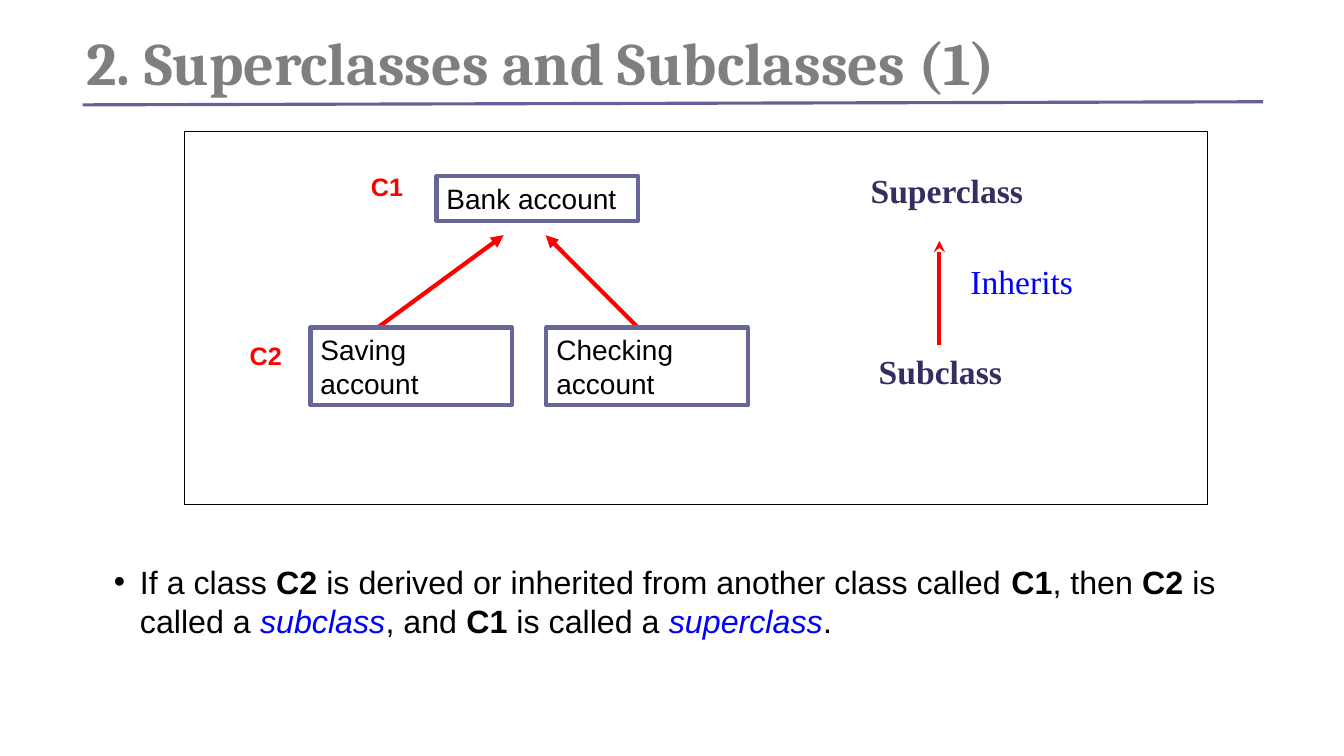
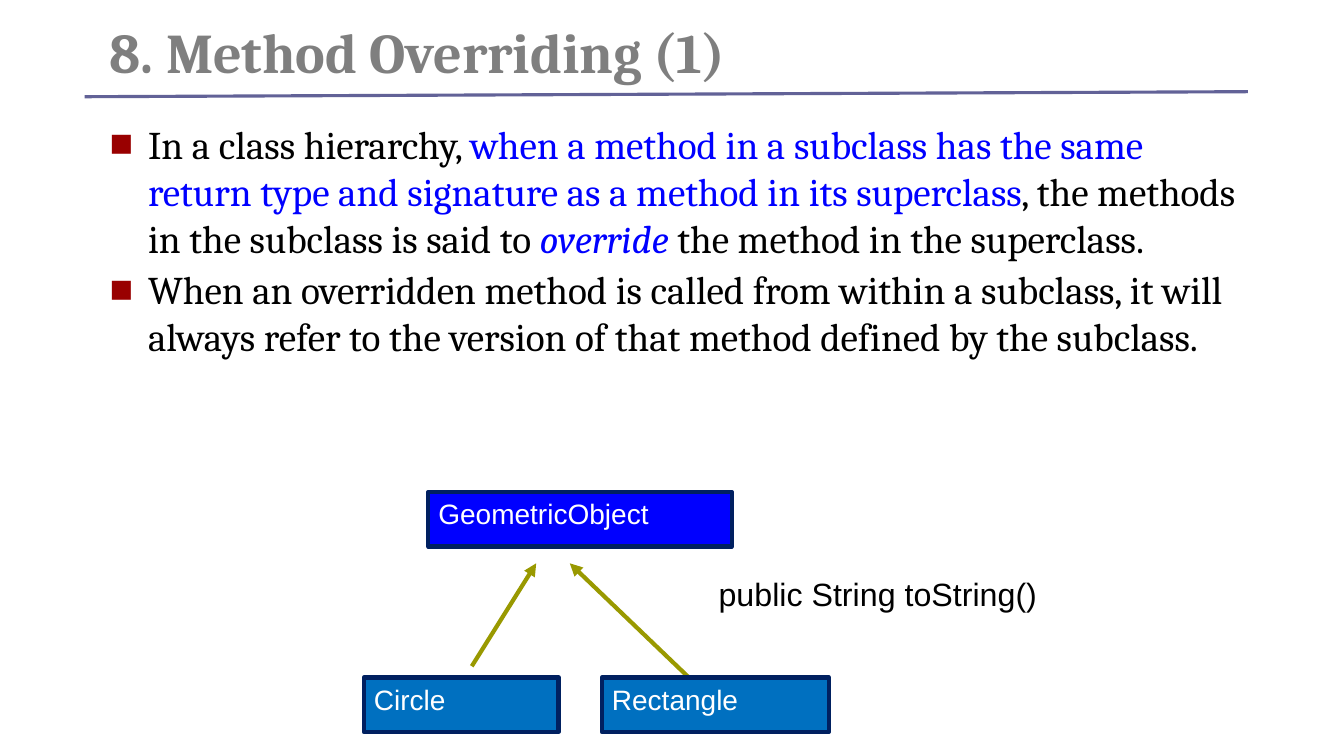
from lxml import etree
from pptx import Presentation
from pptx.dml.color import RGBColor
from pptx.enum.shapes import MSO_CONNECTOR, MSO_SHAPE
from pptx.enum.text import MSO_ANCHOR, PP_ALIGN
from pptx.oxml.ns import qn
from pptx.util import Pt

RECT, STRAIGHT = MSO_SHAPE.RECTANGLE, MSO_CONNECTOR.STRAIGHT
TOP, BOTTOM, LEFT = MSO_ANCHOR.TOP, MSO_ANCHOR.BOTTOM, PP_ALIGN.LEFT

COLORS = {
    "black": "000000", "white": "FFFFFF", "title": "7F7F7F", "rule": "626297",
    "border": "666699", "red": "FF0000", "blue": "0000FF", "indigo": "342F61",
    "maroon": "990000", "navy": "002060", "azure": "0070C0", "olive": "999900",
}
SANS, SERIF, ROMAN = "Arial", "Cambria", "Times New Roman"
BOLD = {"bold": True}
BLUE = {"color": "blue"}
BLUE_ITALIC = {"color": "blue", "italic": True}


def rgb(name):
    return RGBColor.from_string(COLORS[name])


def add_bullet(p, char, color, indent):
    pPr = p._p.get_or_add_pPr()
    pPr.set("marL", str(Pt(indent)))
    pPr.set("indent", str(-Pt(indent)))
    clr = etree.SubElement(pPr, qn("a:buClr"))
    etree.SubElement(clr, qn("a:srgbClr")).set("val", COLORS[color])
    etree.SubElement(pPr, qn("a:buFont")).set("typeface", SANS)
    etree.SubElement(pPr, qn("a:buChar")).set("char", char)


def add_text(tf, paras, size=20, font=SANS, color="black", bold=False,
             anchor=TOP, line_spacing=None, gap=0, bullet=None):
    """Each paragraph is a string or a list of (text, format changes)."""
    tf.word_wrap = True
    tf.vertical_anchor = anchor
    for i, runs in enumerate(paras):
        p = tf.add_paragraph() if i else tf.paragraphs[0]
        p.alignment = LEFT
        if line_spacing:
            p.line_spacing = line_spacing
        if i:
            p.space_before = Pt(gap)
        if bullet:
            add_bullet(p, *bullet)
        for text, change in [(runs, {})] if isinstance(runs, str) else runs:
            r = p.add_run()
            r.text = text
            r.font.name = font
            r.font.size = Pt(size)
            r.font.bold = change.get("bold", bold)
            r.font.italic = change.get("italic", False)
            r.font.color.rgb = rgb(change.get("color", color))


def add_label(s, x, y, w, h, *paras, **fmt):
    sp = s.shapes.add_textbox(Pt(x), Pt(y), Pt(w), Pt(h))
    add_text(sp.text_frame, paras, **fmt)


def add_box(s, x, y, w, h, text=None, fill=None, line=None, width=3, **fmt):
    sp = s.shapes.add_shape(RECT, Pt(x), Pt(y), Pt(w), Pt(h))
    sp.shadow.inherit = False
    if fill:
        sp.fill.solid()
        sp.fill.fore_color.rgb = rgb(fill)
    else:
        sp.fill.background()
    if line:
        sp.line.color.rgb = rgb(line)
        sp.line.width = Pt(width)
    else:
        sp.line.fill.background()
    if text:
        add_text(sp.text_frame, [text], **fmt)


def add_line(s, x1, y1, x2, y2, color, width=3, head=None):
    c = s.shapes.add_connector(STRAIGHT, Pt(x1), Pt(y1), Pt(x2), Pt(y2))
    c.line.color.rgb = rgb(color)
    c.line.width = Pt(width)
    if head:
        ln = c.line._get_or_add_ln()
        etree.SubElement(ln, qn("a:tailEnd")).set("type", head)
    etree.SubElement(c._element.spPr, qn("a:effectLst"))


def add_title(s, x, y, w, h, text, size, rule):
    add_label(s, x, y, w, h, text, size=size, font=SERIF, color="title",
              bold=True, anchor=BOTTOM, line_spacing=0.8)
    add_line(s, *rule, "rule", 2.25)


def add_hierarchy(s, x, y, parent, children, arrows, line, arrow_color,
                  parent_fill=None, child_fill=None, color="black"):
    """Class boxes are (name, dx, dy, w, h), measured from x, y."""
    def class_box(name, dx, dy, w, h, fill):
        add_box(s, x + dx, y + dy, w, h, name, fill, line, color=color)

    class_box(*parent, parent_fill)
    for x1, y1, x2, y2 in arrows:
        add_line(s, x + x1, y + y1, x + x2, y + y2, arrow_color,
                 head="triangle")
    for child in children:
        class_box(*child, child_fill)


def add_inheritance_key(s, x, y):
    term = {"size": 24, "font": ROMAN, "color": "indigo", "bold": True}
    add_box(s, x, y, 142, 40, "Superclass", "white", **term)
    add_label(s, x + 71.3, y + 64.8, 125, 60, "Inherits", size=24, font=ROMAN,
              color="blue")
    add_box(s, x + 5.8, y + 129, 106.5, 31, "Subclass", "white", **term)
    add_line(s, x + 56.2, y + 128.2, x + 56.2, y + 54, "red", 2.75, "stealth")


def add_account_panel(s, x, y, w, h):
    add_box(s, x, y, w, h, line="black", width=0.75)
    add_hierarchy(
        s, x + 90, y + 32.4, ("Bank account", 90, 0, 144, 31.7),
        [("Saving account", 0, 108, 144, 55.4),
         ("Checking account", 168.5, 108, 144, 55.4)],
        [(48, 108, 138, 42), (234, 108, 168, 42)], "border", "red")
    for name, dx, dy in (("C1", 126, 25.2), ("C2", 39.5, 146.2)):
        add_label(s, x + dx, y + dy, 40, 30, name, size=18, color="red",
                  bold=True)
    add_inheritance_key(s, x + 483, y + 24.5)


def superclass_slide(s):
    add_title(s, 54.7, 6.5, 711.4, 66.2, "2. Superclasses and Subclasses (1)",
              43, (59, 74.9, 902.2, 72.7))
    add_account_panel(s, 131.8, 93.6, 730.8, 267.1)
    # Definition
    add_label(s, 74.2, 398.2, 813.6, 63.4, [
        ("If a class ", {}), ("C2", BOLD),
        (" is derived or inherited from another class called ", {}),
        ("C1", BOLD), (", then ", {}), ("C2", BOLD), (" is called a ", {}),
        ("subclass", BLUE_ITALIC), (", and ", {}), ("C1", BOLD),
        (" is called a ", {}), ("superclass", BLUE_ITALIC), (".", {}),
    ], size=23, bullet=("•", "black", 18.7))


def overriding_slide(s):
    add_title(s, 71.3, 10.1, 642.2, 53.3, "8. Method Overriding (1)",
              40, (60.5, 69.1, 891.4, 65.5))
    # Rules of overriding
    add_label(s, 71.3, 82.1, 820, 269.3, [
        ("In a class hierarchy, ", {}),
        ("when a method in a subclass has the same return type and signature "
         "as a method in its superclass", BLUE),
        (", the methods in the subclass is said to ", {}),
        ("override ", BLUE_ITALIC), ("the method in the superclass.", {}),
    ], "When an overridden method is called from within a subclass, it will "
       "always refer to the version of that method defined by the subclass.",
        size=28, font=SERIF, gap=3, bullet=("■", "maroon", 27.4))
    # Shape classes
    add_hierarchy(
        s, 260, 351.4, ("GeometricObject", 46, 0, 216.7, 39),
        [("Circle", 0, 132.5, 139, 39), ("Rectangle", 170, 132.5, 162, 39)],
        [(77, 124.5, 123, 51), (232, 132.5, 147, 51)], "navy", "olive",
        "blue", "azure", "white")
    add_label(s, 506.2, 406.8, 400.3, 35.3, "public String toString()", size=23)


def main():
    prs = Presentation()
    prs.slide_width, prs.slide_height = Pt(960), Pt(540)
    for build in (superclass_slide, overriding_slide):
        build(prs.slides.add_slide(prs.slide_layouts[6]))
    prs.save("out.pptx")


if __name__ == "__main__":
    main()
